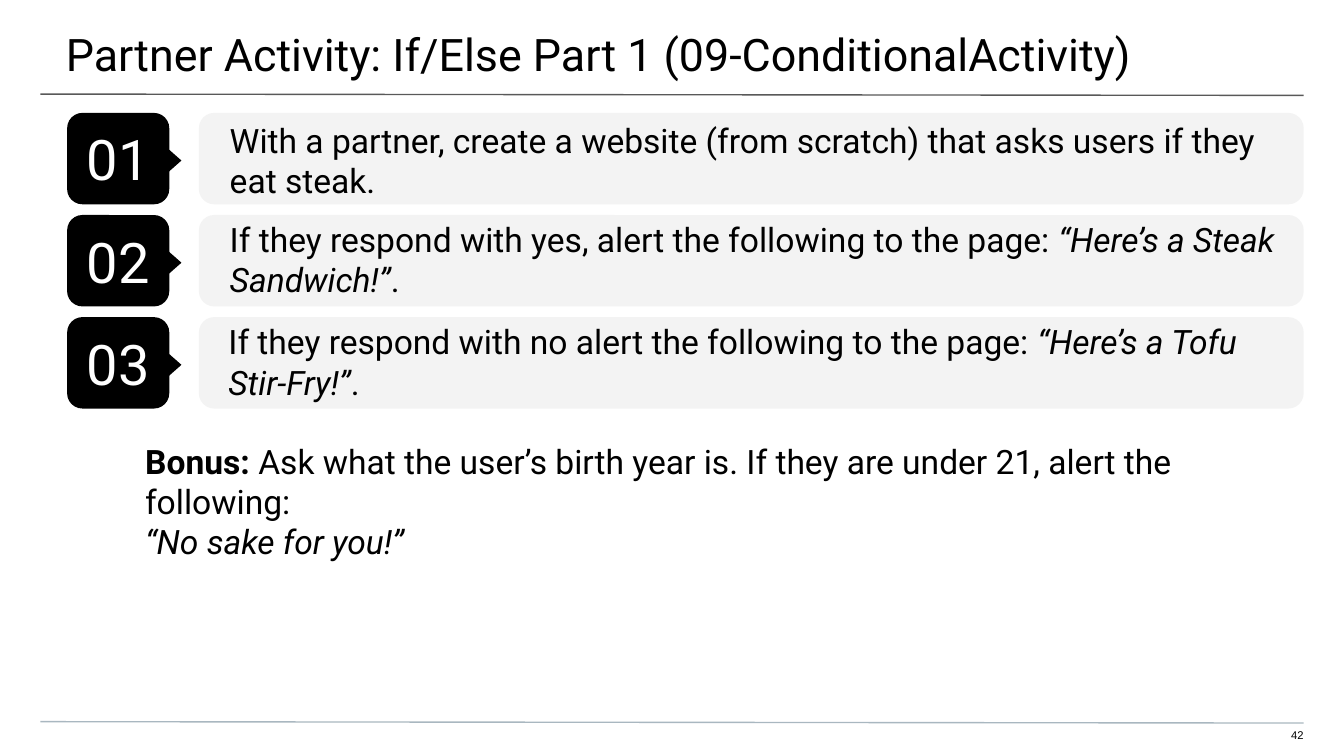
from dataclasses import dataclass

from lxml import etree
from pptx import Presentation
from pptx.dml.color import RGBColor
from pptx.enum.shapes import MSO_CONNECTOR, MSO_SHAPE
from pptx.enum.text import MSO_ANCHOR, MSO_AUTO_SIZE, PP_ALIGN
from pptx.oxml.ns import qn
from pptx.util import Inches, Pt

ROUNDED = MSO_SHAPE.ROUNDED_RECTANGLE
POINTER = MSO_SHAPE.FLOWCHART_EXTRACT
STRAIGHT = MSO_CONNECTOR.STRAIGHT
TOP, MIDDLE = MSO_ANCHOR.TOP, MSO_ANCHOR.MIDDLE
LEFT, CENTER, RIGHT = PP_ALIGN.LEFT, PP_ALIGN.CENTER, PP_ALIGN.RIGHT


@dataclass(frozen=True)
class Theme:
    black: str = "000000"
    white: str = "FFFFFF"
    card: str = "F3F3F3"
    title_rule: str = "595959"
    footer_rule: str = "A9B7C0"
    font: str = "Roboto"
    footer_font: str = "Arial"
    title_size: int = 24
    badge_size: int = 30
    body_size: int = 18
    footer_size: int = 6


THEME = Theme()
FIRST_ROW, ROW_STEP, ROW_HEIGHT = 0.84, 0.76, 0.68
BODY_INSETS = (1.7, 0, 0.5, 0)

# Each step: text box left, top and width, then the spans as (text, style)
STEPS = [
    (0.01, 0.86, 10, [("With a partner, create a website (from scratch) that asks "
                       "users if they eat steak.", "")]),
    (0.01, 1.6, 10, [("If they respond with yes, alert the following to the page: ", ""),
                     ("“Here’s a Steak Sandwich!”", "italic"), (".", "")]),
    (0, 2.36, 10.03, [("If they respond with no alert the following to the page: ", ""),
                      ("“Here’s a Tofu Stir-Fry!”", "italic"), (".", "")]),
]
BONUS = [
    ("Bonus: ", "bold"),
    ("Ask what the user’s birth year is. If they are under 21, alert the following: \v", ""),
    ("“No sake for you!”", "italic"),
]


def write_text(shape, spans, size, color=THEME.black, font=THEME.font,
               align=LEFT, anchor=TOP, insets=(0, 0, 0, 0)):
    """Fill a shape with one paragraph; a vertical tab in a span breaks the line."""
    frame = shape.text_frame
    frame.word_wrap = True
    frame.auto_size = MSO_AUTO_SIZE.NONE
    frame.vertical_anchor = anchor
    (frame.margin_left, frame.margin_top,
     frame.margin_right, frame.margin_bottom) = map(Inches, insets)
    para = frame.paragraphs[0]
    para.alignment = align
    for text, style in spans:
        for index, piece in enumerate(text.split("\v")):
            if index:
                para.add_line_break()
            if not piece:
                continue
            span = para.add_run()
            span.text = piece
            span.font.name = font
            span.font.size = Pt(size)
            span.font.color.rgb = RGBColor.from_string(color)
            span.font.bold = style == "bold"
            span.font.italic = style == "italic"


def add_text(page, left, top, width, height, spans, size, **text_format):
    box = page.shapes.add_textbox(*map(Inches, (left, top, width, height)))
    write_text(box, spans, size, **text_format)


def add_block(shapes, kind, left, top, width, height, color):
    block = shapes.add_shape(kind, *map(Inches, (left, top, width, height)))
    block.shadow.inherit = False
    block.fill.solid()
    block.fill.fore_color.rgb = RGBColor.from_string(color)
    block.line.fill.background()
    return block


def add_rule(page, top, color):
    rule = page.shapes.add_connector(
        STRAIGHT, Inches(0.3), Inches(top), Inches(9.7), Inches(top + 0.01))
    rule.line.color.rgb = RGBColor.from_string(color)
    rule.line.width = Pt(0.75)
    etree.SubElement(rule._element.spPr, qn("a:effectLst"))


def add_badge(page, top, label):
    """Numbered square with a pointer towards its card."""
    group = page.shapes.add_group_shape()
    square = add_block(group.shapes, ROUNDED, 0.5, top, 0.76, ROW_HEIGHT, THEME.black)
    write_text(square, [(label, "")], THEME.badge_size, color=THEME.white,
               align=CENTER, anchor=MIDDLE, insets=(0.1, 0.1, 0.1, 0.1))
    pointer = add_block(group.shapes, POINTER, 1.06, top + 0.25, 0.37, 0.21, THEME.black)
    pointer.rotation = 90


def add_title(page, text):
    title = page.shapes.title
    title.left, title.top, title.width, title.height = map(
        Inches, (-0.01, 0, 10.03, 0.58))
    write_text(title, [(text, "")], THEME.title_size, insets=(0.5, 0.2, 0.3, 0.1))


def main():
    # Widescreen page, 16:9
    deck = Presentation()
    deck.slide_width = Inches(10)
    deck.slide_height = deck.slide_width * 9 // 16
    page = deck.slides.add_slide(deck.slide_layouts[5])

    # Frame: rules, page number and title
    add_rule(page, 5.37, THEME.footer_rule)
    add_rule(page, 0.7, THEME.title_rule)
    add_text(page, 9.41, 5.42, 0.29, 0.12, [("42", "")], THEME.footer_size,
             font=THEME.footer_font, align=RIGHT, insets=(0, 0, 0, 0.1))
    add_title(page, "Partner Activity: If/Else Part 1 (09-ConditionalActivity)")

    # Numbered steps
    for index, (left, text_top, width, spans) in enumerate(STEPS):
        top = FIRST_ROW + index * ROW_STEP
        add_block(page.shapes, ROUNDED, 1.48, top, 8.22, ROW_HEIGHT, THEME.card)
        add_badge(page, top, f"{index + 1:02d}")
        add_text(page, left, text_top, width, 0.66, spans, THEME.body_size,
                 anchor=MIDDLE, insets=BODY_INSETS)

    # Bonus task
    add_text(page, -0.62, 3.4, 10.87, 0.66, BONUS, THEME.body_size,
             anchor=MIDDLE, insets=BODY_INSETS)

    deck.save("out.pptx")


if __name__ == "__main__":
    main()
